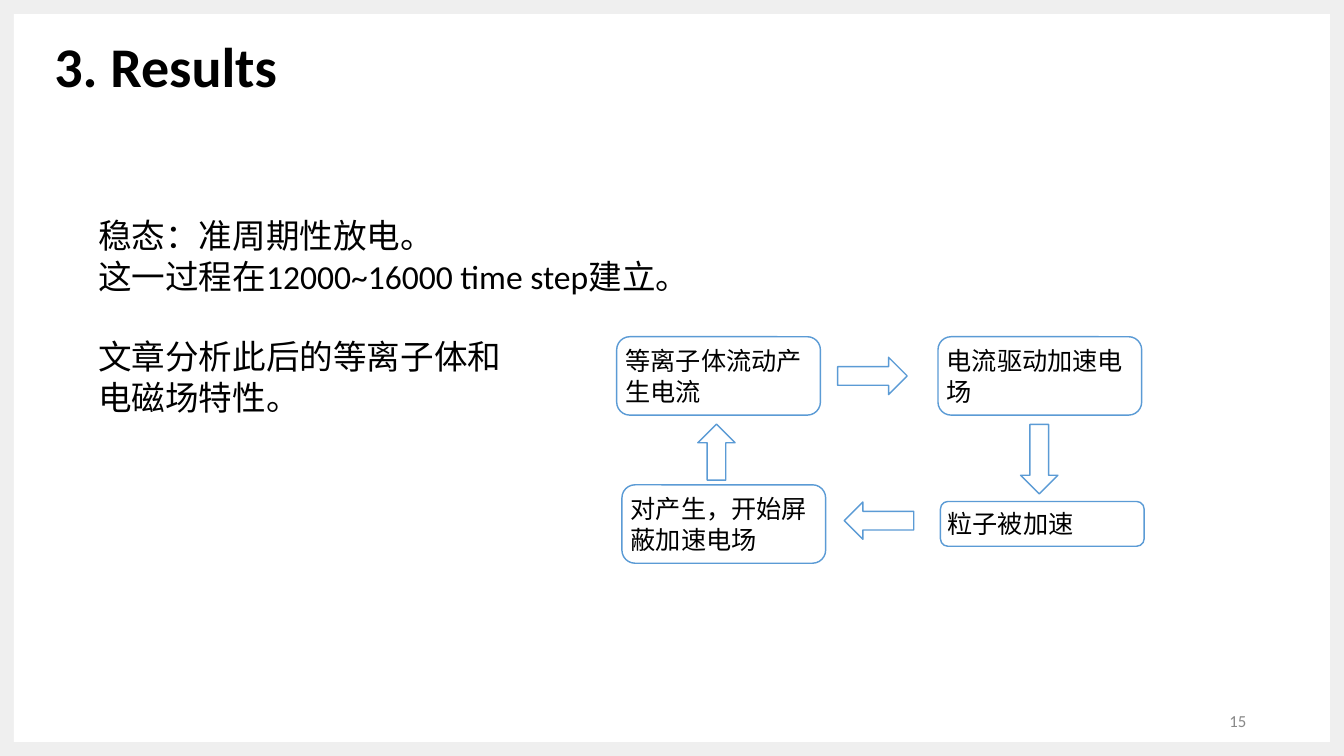
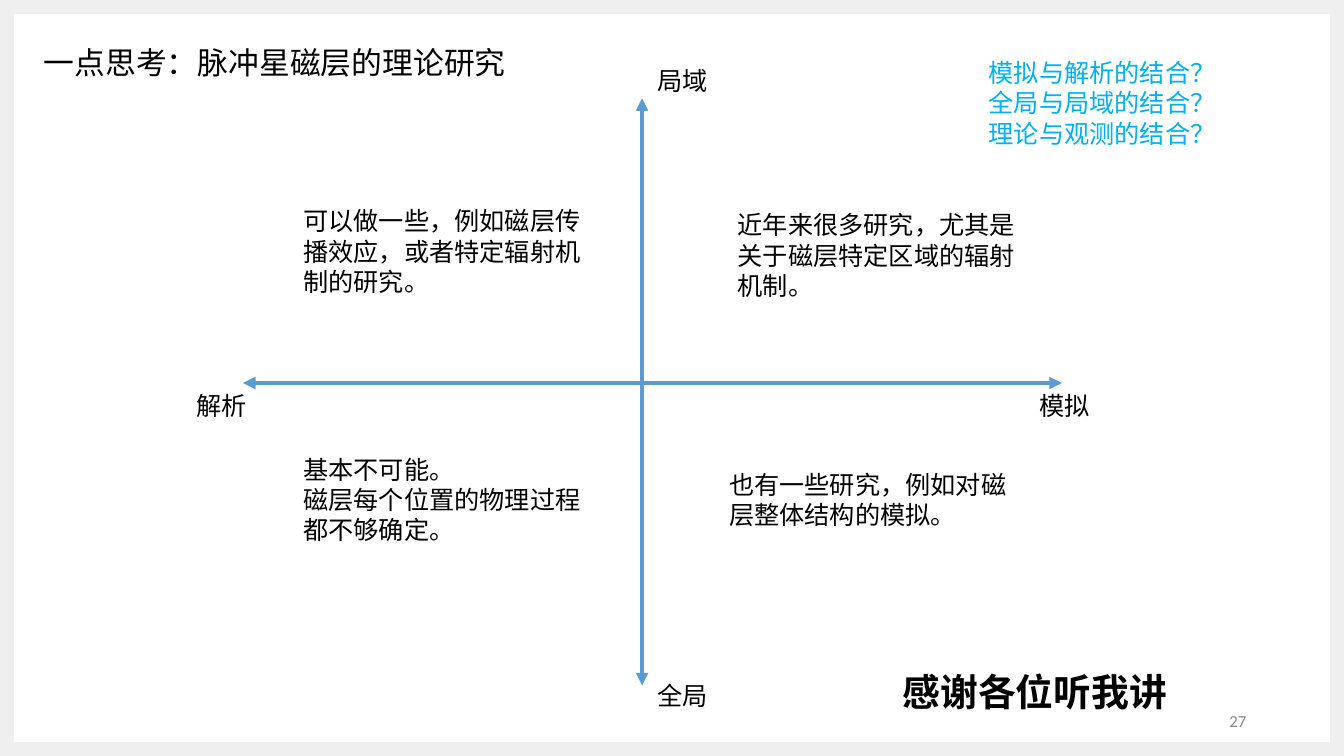
import pptx
import pptx.util
import pptx.dml.color
import pptx.enum.shapes
import pptx.enum.text
import pptx.oxml
import pptx.oxml.ns

Pt = pptx.util.Pt
RGBColor = pptx.dml.color.RGBColor
Kind = pptx.enum.shapes.MSO_SHAPE
Align = pptx.enum.text.PP_ALIGN
Anchor = pptx.enum.text.MSO_ANCHOR

BORDER = RGBColor(0xEF, 0xEF, 0xEF)
WHITE = RGBColor(0xFF, 0xFF, 0xFF)
BLACK = RGBColor(0, 0, 0)
GREY = RGBColor(0x88, 0x88, 0x88)
BLUE = RGBColor(0x5B, 0x9B, 0xD5)
CYAN = RGBColor(0x00, 0xB0, 0xF0)
FONT = "Calibri"
WIDTH, HEIGHT, MARGIN = 1920, 1080, 20

# Content: results slide
RESULTS_TITLE = "3. Results"
STEADY_STATE = [
    "稳态：准周期性放电。",
    "这一过程在12000~16000 time step建立。",
    "文章分析此后的等离子体和",
    "电磁场特性。",
]
ANALYSIS_START = 2  # paragraph that opens the second group
STAGE_WIDTH = 291
CYCLE_STAGES = [  # text, left, top, height
    ("等离子体流动产生电流", 881, 481, 112),
    ("电流驱动加速电场", 1340, 481, 112),
    ("粒子被加速", 1343.5, 716.4, 64),
    ("对产生，开始屏蔽加速电场", 888.5, 692.6, 112),
]
ARROW_THICKNESS = 53.3
CYCLE_ARROWS = [  # centre x, centre y, length; each turns 90 degrees further
    (1246.3, 537.1, 99.4),
    (1484.6, 655.9, 99.4),
    (1255.7, 743.8, 99.4),
    (1023.5, 645.8, 80),
]

# Content: outlook slide
OUTLOOK_TITLE = "一点思考：脉冲星磁层的理论研究"
AXES = [((347, 547.2), (1517, 547.2)), ((917.3, 140.4), (917.3, 979.2))]
AXIS_LABELS = [  # text, left, top
    ("解析", 273.6, 550.8),
    ("模拟", 1477.4, 550.8),
    ("局域", 932.4, 86.4),
    ("全局", 932.4, 964),
]
QUADRANTS = [  # paragraphs, left, top, height
    (["基本不可能。", "磁层每个位置的物理过程", "都不够确定。"], 426.2, 641.5, 145.4),
    (["可以做一些，例如磁层传播效应，或者特定辐射机制的研究。"], 426.2, 286.6, 145.4),
    (["近年来很多研究，尤其是关于磁层特定区域的辐射机制。"], 1046.9, 292.3, 145.4),
    (["也有一些研究，例如对磁层整体结构的模拟。"], 1034.6, 663, 101.5),
]
QUESTIONS = ["模拟与解析的结合？", "全局与局域的结合？", "理论与观测的结合？"]
THANKS = "感谢各位听我讲"


def write(shape, paragraphs, size=36, color=BLACK, bold=False,
          align=Align.LEFT, anchor=Anchor.TOP, gap_at=None, gap=0):
    frame = shape.text_frame
    frame.word_wrap = True
    frame.auto_size = pptx.enum.text.MSO_AUTO_SIZE.SHAPE_TO_FIT_TEXT
    frame.vertical_anchor = anchor
    frame.margin_left = frame.margin_right = Pt(7.2)
    frame.margin_top = frame.margin_bottom = Pt(7.2)
    frame.text = "\n".join(paragraphs)
    for index, paragraph in enumerate(frame.paragraphs):
        paragraph.alignment = align
        if index == gap_at:
            paragraph.space_before = Pt(gap)
        paragraph.font.name = FONT
        paragraph.font.size = Pt(size)
        paragraph.font.bold = bold
        paragraph.font.color.rgb = color


def add_text(slide, box, paragraphs, **text_format):
    write(slide.shapes.add_textbox(*map(Pt, box)), paragraphs, **text_format)


def add_outlined(slide, kind, box, line=BLUE):
    shape = slide.shapes.add_shape(kind, *map(Pt, box))
    shape.shadow.inherit = False
    shape.fill.solid()
    shape.fill.fore_color.rgb = WHITE
    if line is None:
        shape.line.fill.background()
    else:
        shape.line.color.rgb = line
        shape.line.width = Pt(2)
    return shape


def add_axis(slide, start, end):
    axis = slide.shapes.add_connector(
        pptx.enum.shapes.MSO_CONNECTOR.STRAIGHT, *map(Pt, start + end))
    axis.line.color.rgb = BLUE
    axis.line.width = Pt(6)
    properties = axis.element.spPr
    outline = properties.find(pptx.oxml.ns.qn("a:ln"))
    for tag in ("headEnd", "tailEnd"):
        outline.append(pptx.oxml.parse_xml(
            f'<a:{tag} {pptx.oxml.ns.nsdecls("a")} type="triangle"/>'))
    properties.append(pptx.oxml.parse_xml(
        f'<a:effectLst {pptx.oxml.ns.nsdecls("a")}/>'))


def add_page(prs, number):
    slide = prs.slides.add_slide(prs.slide_layouts[6])
    panel = (MARGIN, MARGIN, WIDTH - 2 * MARGIN, HEIGHT - 2 * MARGIN)
    add_outlined(slide, Kind.RECTANGLE, panel, line=None)
    add_text(slide, (1355.8, 1008, 432, 43.2), [str(number)], size=24,
             color=GREY, align=Align.RIGHT, anchor=Anchor.MIDDLE)
    return slide


def build_results(prs):
    slide = add_page(prs, 15)
    add_text(slide, (70.6, 37.4, 1083, 111.6), [RESULTS_TITLE], size=80, bold=True)
    add_text(slide, (133.2, 300.2, 1786, 305), STEADY_STATE, size=48,
             gap_at=ANALYSIS_START, gap=57.6)

    # Discharge cycle
    for stage, left, top, height in CYCLE_STAGES:
        box = add_outlined(slide, Kind.ROUNDED_RECTANGLE,
                           (left, top, STAGE_WIDTH, height))
        write(box, [stage], anchor=Anchor.MIDDLE)
    for turn, (x, y, length) in enumerate(CYCLE_ARROWS):
        arrow = add_outlined(slide, Kind.RIGHT_ARROW,
                             (x - length / 2, y - ARROW_THICKNESS / 2,
                              length, ARROW_THICKNESS))
        arrow.rotation = 90 * turn


def build_outlook(prs):
    slide = add_page(prs, 27)
    add_text(slide, (55.4, 55.4, 1669.7, 67.7), [OUTLOOK_TITLE], size=44)

    # Axes and the four quadrants
    for start, end in AXES:
        add_axis(slide, start, end)
    for label, left, top in AXIS_LABELS:
        add_text(slide, (left, top, 205.2, 58.3), [label])
    for remarks, left, top, height in QUADRANTS:
        add_text(slide, (left, top, 411, height), remarks)

    # Open questions and closing
    add_text(slide, (1405.4, 74.9, 502.6, 145.4), QUESTIONS, color=CYAN)
    add_text(slide, (1282.3, 948.2, 432, 80), [THANKS], size=54, bold=True)


def main():
    prs = pptx.Presentation()
    prs.slide_width, prs.slide_height = Pt(WIDTH), Pt(HEIGHT)
    backdrop = prs.slide_master.background.fill
    backdrop.solid()
    backdrop.fore_color.rgb = BORDER
    build_results(prs)
    build_outlook(prs)
    prs.save("out.pptx")


if __name__ == "__main__":
    main()
